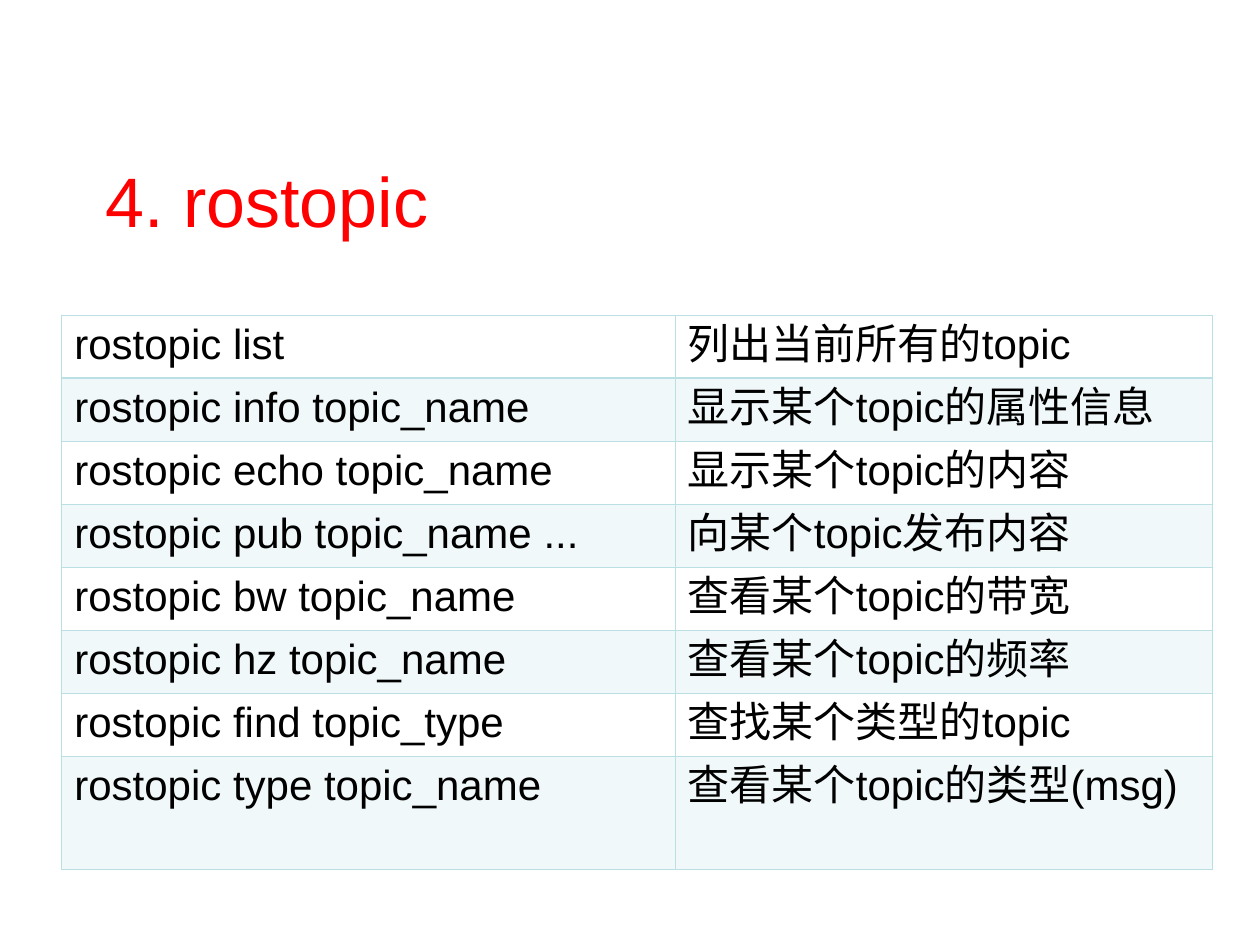
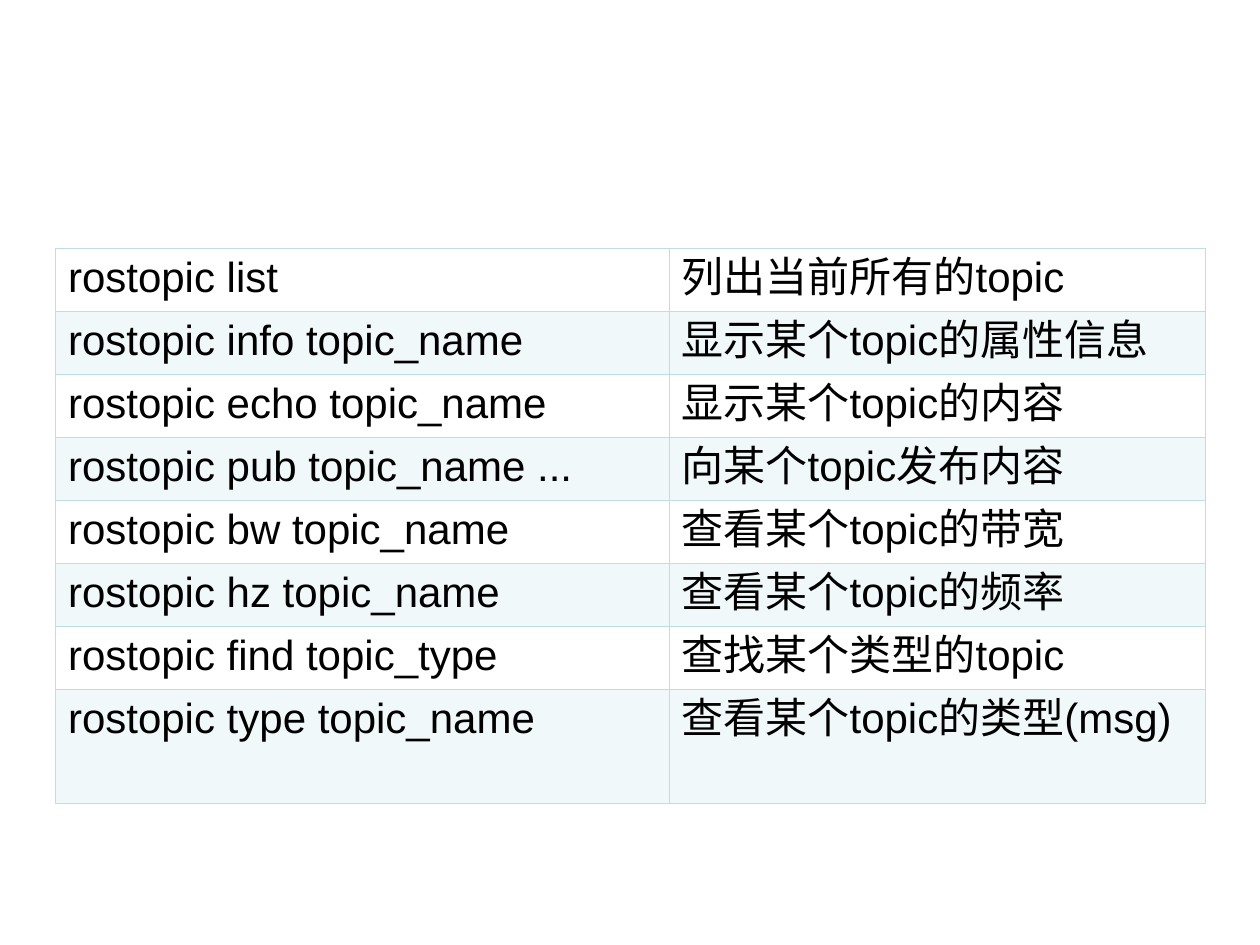
from pptx import Presentation
from pptx.dml.color import RGBColor
from pptx.enum.text import MSO_AUTO_SIZE as AutoSize
from pptx.oxml.ns import qn
from pptx.util import Inches, Pt
from lxml.etree import SubElement

RED = RGBColor(0xFF, 0x00, 0x00)
BLACK = RGBColor(0x00, 0x00, 0x00)
TEAL = RGBColor(0xBB, 0xE0, 0xE3)

FONT = "Arial"
BAND_OPACITY = 20
THIN, HEADER_RULE = 0.45, 0.96
COLUMN_WIDTHS = (4.87, 4.26)
ROW_HEIGHT, LAST_ROW_HEIGHT = 0.5, 0.9

COMMANDS = [
    ("rostopic list", "列出当前所有的topic"),
    ("rostopic info topic_name", "显示某个topic的属性信息"),
    ("rostopic echo topic_name", "显示某个topic的内容"),
    ("rostopic pub topic_name ...", "向某个topic发布内容"),
    ("rostopic bw topic_name", "查看某个topic的带宽"),
    ("rostopic hz topic_name", "查看某个topic的频率"),
    ("rostopic find topic_type", "查找某个类型的topic"),
    ("rostopic type topic_name", "查看某个topic的类型(msg)"),
]


def write(frame, words, size, color):
    """Put one styled paragraph into a text frame."""
    paragraph = frame.paragraphs[0]
    run = paragraph.add_run()
    run.text = words
    paragraph.font.size = Pt(size)
    paragraph.font.name = FONT
    paragraph.font.color.rgb = color
    east_asian = SubElement(run.font._element, qn("a:ea"))
    east_asian.set("typeface", FONT)


def add_title(slide, words):
    """Add the red section title."""
    title = slide.shapes.add_textbox(Inches(0.74), Inches(1.2), Inches(3.9), Inches(0.77))
    title.text_frame.word_wrap = True
    title.text_frame.auto_size = AutoSize.SHAPE_TO_FIT_TEXT
    write(title.text_frame, words, 40, RED)


def add_borders(cell, top, bottom):
    """Draw the four teal edges of a cell, given the top and bottom widths."""
    edges = {"a:lnL": THIN, "a:lnR": THIN, "a:lnT": top, "a:lnB": bottom}
    properties = cell._tc.get_or_add_tcPr()
    for tag, width in edges.items():
        edge = SubElement(properties, qn(tag), w=str(Pt(width)))
        color = SubElement(SubElement(edge, qn("a:solidFill")), qn("a:srgbClr"))
        color.set("val", str(TEAL))


def fill_band(cell, shaded):
    """Shade a cell with translucent teal, or leave it clear."""
    if not shaded:
        cell.fill.background()
        return
    cell.fill.solid()
    cell.fill.fore_color.rgb = TEAL
    color = cell._tc.tcPr.find(qn("a:solidFill")).find(qn("a:srgbClr"))
    SubElement(color, qn("a:alpha"), val=str(BAND_OPACITY * 1000))


def add_command_table(slide, left, top):
    """Add the table of commands and their meanings."""
    heights = [ROW_HEIGHT] * (len(COMMANDS) - 1) + [LAST_ROW_HEIGHT]
    table = slide.shapes.add_table(
        len(COMMANDS), len(COLUMN_WIDTHS), Inches(left), Inches(top),
        Inches(sum(COLUMN_WIDTHS)), Inches(sum(heights))).table
    table.first_row = table.horz_banding = False
    for column, width in zip(table.columns, COLUMN_WIDTHS):
        column.width = Inches(width)
    for index, (row, height, entry) in enumerate(zip(table.rows, heights, COMMANDS)):
        row.height = Inches(height)
        upper = HEADER_RULE if index == 1 else THIN
        lower = HEADER_RULE if index == 0 else THIN
        for cell, words in zip(row.cells, entry):
            write(cell.text_frame, words, 24, BLACK)
            add_borders(cell, upper, lower)
            fill_band(cell, index % 2 == 1)


def main():
    """Build the two slides."""
    deck = Presentation()
    deck.slide_width, deck.slide_height = Inches(10), Inches(7.5)
    blank = deck.slide_layouts[6]

    overview = deck.slides.add_slide(blank)
    add_title(overview, "4. rostopic")
    add_command_table(overview, 0.49, 2.5)

    recap = deck.slides.add_slide(blank)
    add_command_table(recap, 0.44, 1.97)

    deck.save("out.pptx")


if __name__ == "__main__":
    main()
